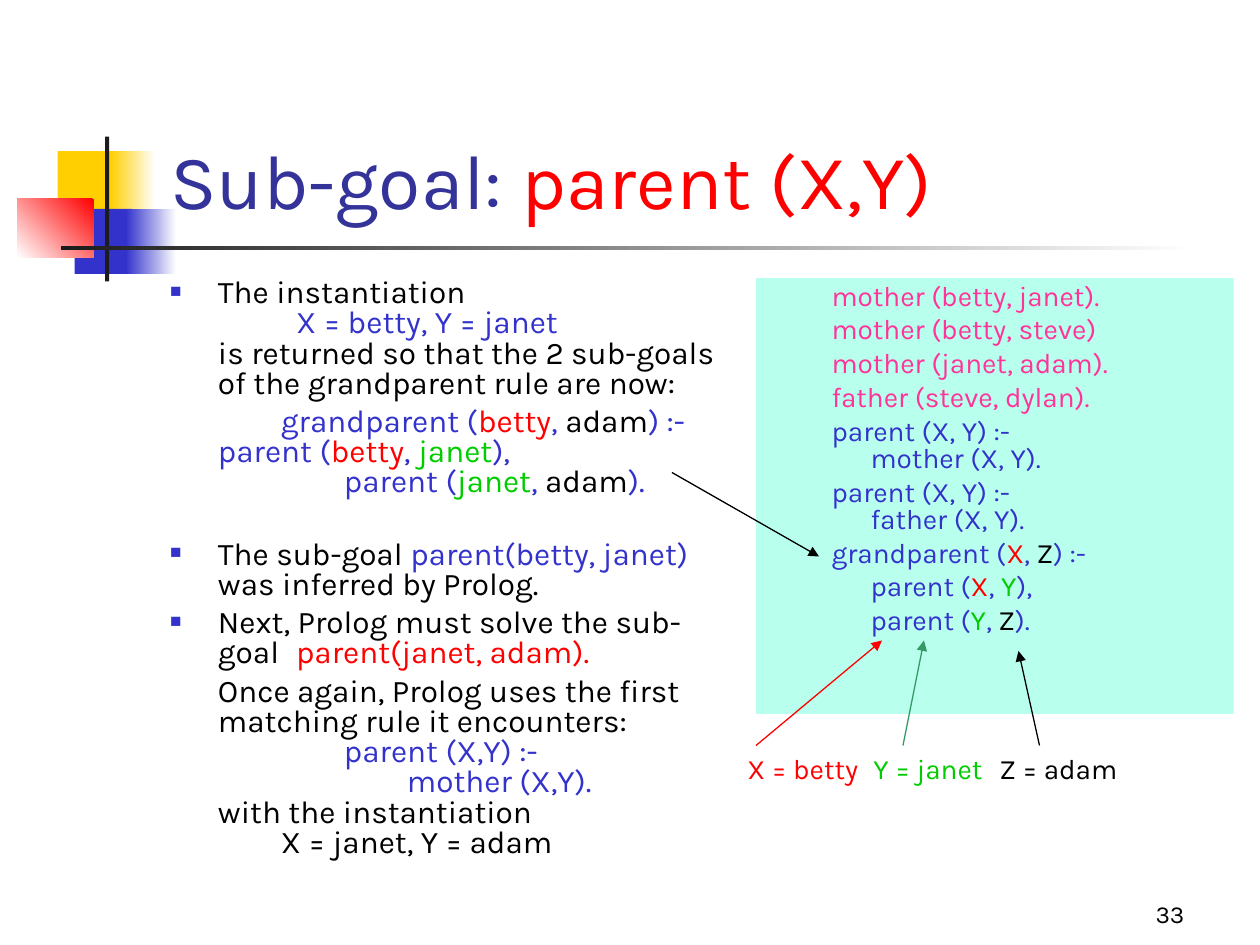
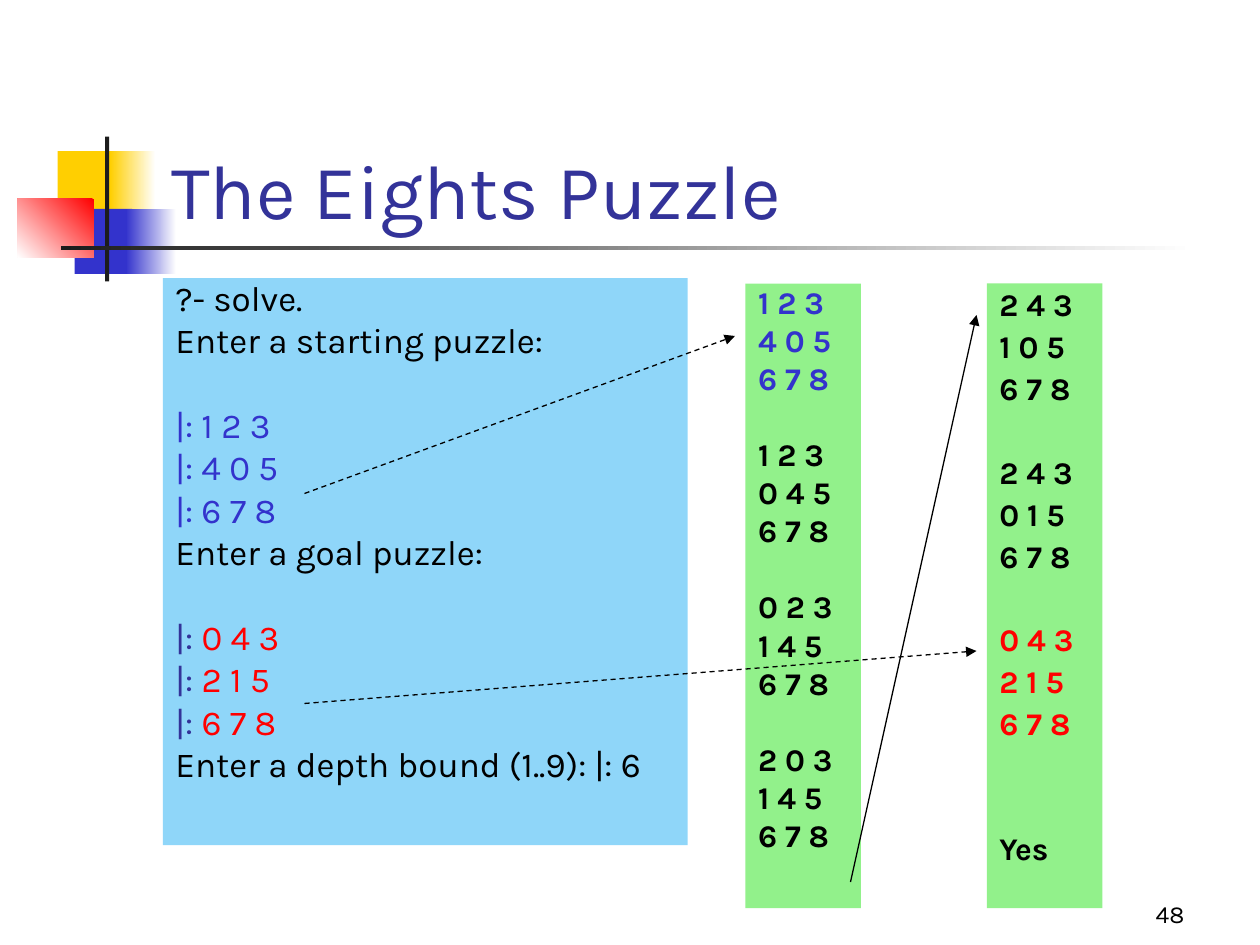
import dataclasses
import typing

import lxml.etree
import pptx
import pptx.dml.color
import pptx.enum.dml
import pptx.enum.shapes
import pptx.enum.text
import pptx.oxml.ns
import pptx.util

COLOURS = {
    "white": "FFFFFF", "black": "000000", "ink": "1C1C1C", "gold": "FFCF01",
    "blue": "3333CC", "navy": "333399", "red": "FF0000", "green": "00CC00",
    "pink": "FF3399", "fern": "339966", "mint": "B9FFED", "lime": "92F18B",
    "sky": "8FD6F9",
}
FONT = "Karla"
UNITS_PER_INCH = 12
FRAME_FORMAT = {"word_wrap": True, "auto_size": pptx.enum.text.MSO_AUTO_SIZE.NONE}
LEFT = pptx.enum.text.PP_ALIGN.LEFT
RIGHT = pptx.enum.text.PP_ALIGN.RIGHT
TOP = pptx.enum.text.MSO_ANCHOR.TOP
BOTTOM = pptx.enum.text.MSO_ANCHOR.BOTTOM
RECTANGLE = pptx.enum.shapes.MSO_SHAPE.RECTANGLE


class Area(typing.NamedTuple):
    col: float
    row: float
    cols: float
    rows: float


class Span(typing.NamedTuple):
    text: str
    colour: str = "black"


class Accent(typing.NamedTuple):
    area: Area
    colours: tuple[str, ...]
    angle: int = 180


class Arrow(typing.NamedTuple):
    start: tuple[float, float]
    end: tuple[float, float]
    colour: str = "black"
    dashed: bool = False


@dataclasses.dataclass
class Line:
    spans: list[Span]
    bullet: bool = False
    tabs: tuple[float, ...] = (0,)
    gap: float | None = None


@dataclasses.dataclass
class Style:
    size: float
    bold: bool = False
    level: int = 0
    margin: float = 0
    hanging: float = 0
    spacing: float = 1.0
    align: pptx.enum.text.PP_ALIGN = LEFT
    anchor: pptx.enum.text.MSO_ANCHOR = TOP


TITLE = Style(44, anchor=BOTTOM)
NUMBER = Style(14, align=RIGHT, anchor=BOTTOM)
BINDINGS = Style(16)
EXPLANATION = Style(18, margin=0.38, hanging=0.38, spacing=0.8)
RULES = Style(16, level=1, margin=0.81, hanging=0.31, spacing=0.8)
CONSOLE = dataclasses.replace(EXPLANATION, size=20)
MOVES = dataclasses.replace(EXPLANATION, bold=True)
LAST_MOVES = dataclasses.replace(MOVES, spacing=0.9)

ACCENTS = [
    Accent(Area(5.5, 14.4, 5.8, 6.2), ("gold",)),
    Accent(Area(10.5, 14.4, 4.3, 6.2), ("white", "gold")),
    Accent(Area(7.1, 19.9, 5.5, 6.2), ("blue",)),
    Accent(Area(12, 19.9, 4.8, 6.2), ("white", "blue")),
    Accent(Area(1.65, 18.95, 7.3, 5.55), ("red", "white"), 225),
    Accent(Area(10, 13, 0.4, 13.8), ("ink",)),
    Accent(Area(5.8, 23.4, 108, 0.4), ("white", "ink")),
]
NUMBER_AREA = Area(89, 83, 25, 6)
BULLET_TABS = tuple(range(1, 9))


def units(count: float) -> int:
    return pptx.util.Inches(count / UNITS_PER_INCH)


def rgb(colour: str) -> pptx.dml.color.RGBColor:
    return pptx.dml.color.RGBColor.from_string(COLOURS[colour])


def add_node(parent, tag: str, **attributes: str):
    return lxml.etree.SubElement(parent, pptx.oxml.ns.qn(tag), **attributes)


def place(shape, area: Area) -> None:
    for side, count in zip(("left", "top", "width", "height"), area):
        setattr(shape, side, units(count))


def add_rectangle(slide, area: Area):
    rectangle = slide.shapes.add_shape(RECTANGLE, *map(units, area))
    rectangle.shadow.inherit = False
    rectangle.line.fill.background()
    return rectangle


def add_text_area(slide, area: Area):
    return slide.shapes.add_textbox(*map(units, area))


def add_bullet_and_tabs(paragraph, line: Line) -> None:
    properties = paragraph._p.get_or_add_pPr()
    if line.bullet:
        colour = add_node(properties, "a:buClr")
        add_node(colour, "a:srgbClr", val=COLOURS["blue"])
        add_node(properties, "a:buSzPct", val="60000")
        add_node(properties, "a:buChar", char="■")
    else:
        add_node(properties, "a:buNone")
    stops = add_node(properties, "a:tabLst")
    for stop in line.tabs:
        add_node(stops, "a:tab", pos=str(pptx.util.Inches(stop)), algn="l")


def add_span(paragraph, span: Span, style: Style) -> None:
    font_format = {"name": FONT, "size": pptx.util.Pt(style.size), "bold": style.bold}
    for index, piece in enumerate(span.text.split("\n")):
        if index:
            paragraph.add_line_break()
            add_node(paragraph._p[-1], "a:rPr", sz=str(style.size * 100))
        if piece:
            run = paragraph.add_run()
            run.text = piece
            for name, value in font_format.items():
                setattr(run.font, name, value)
            run.font.color.rgb = rgb(span.colour)


def write(shape, lines: list[Line], style: Style, fill: str | None = None) -> None:
    if fill:
        shape.fill.solid()
        shape.fill.fore_color.rgb = rgb(fill)
    frame = shape.text_frame
    for name, value in (FRAME_FORMAT | {"vertical_anchor": style.anchor}).items():
        setattr(frame, name, value)
    for index, line in enumerate(lines):
        paragraph = frame.add_paragraph() if index else frame.paragraphs[0]
        add_bullet_and_tabs(paragraph, line)
        before = style.size / 4 if line.gap is None else line.gap
        paragraph_format = {
            "level": style.level,
            "alignment": style.align,
            "line_spacing": style.spacing,
            "space_before": pptx.util.Pt(before if index else 0),
        }
        for name, value in paragraph_format.items():
            setattr(paragraph, name, value)
        properties = paragraph._p.get_or_add_pPr()
        properties.set("marL", str(pptx.util.Inches(style.margin)))
        properties.set("indent", str(-pptx.util.Inches(style.hanging)))
        for span in line.spans:
            add_span(paragraph, span, style)


def add_arrow(slide, arrow: Arrow) -> None:
    ends = map(units, arrow.start + arrow.end)
    connector = slide.shapes.add_connector(
        pptx.enum.shapes.MSO_CONNECTOR.STRAIGHT, *ends)
    connector.line.color.rgb = rgb(arrow.colour)
    connector.line.width = pptx.util.Pt(0.75)
    if arrow.dashed:
        connector.line.dash_style = pptx.enum.dml.MSO_LINE.DASH
    properties = connector.element.spPr
    add_node(properties.find(pptx.oxml.ns.qn("a:ln")), "a:tailEnd", type="triangle")
    add_node(properties, "a:effectLst")


def decorate_layout(slide) -> None:
    for shape_id, accent in enumerate(ACCENTS, start=20):
        band = add_rectangle(slide, accent.area)
        if len(accent.colours) == 1:
            band.fill.solid()
            band.fill.fore_color.rgb = rgb(accent.colours[0])
        else:
            band.fill.gradient()
            band.fill.gradient_angle = accent.angle
            for stop, colour in zip(band.fill.gradient_stops, accent.colours):
                stop.color.rgb = rgb(colour)
        band.element.nvSpPr.cNvPr.id = shape_id
        slide.slide_layout.shapes.element.append(band.element)


def start_slide(deck, title: list[Span], title_area: Area, number: str):
    slide = deck.slides.add_slide(deck.slide_layouts[3])
    place(slide.shapes.title, title_area)
    write(slide.shapes.title, [Line(title)], TITLE)
    write(add_text_area(slide, NUMBER_AREA), [Line([Span(number)])], NUMBER)
    return slide


def fill_body(slide, index: int, area: Area, lines: list[Line], style: Style,
              fill: str | None = None) -> None:
    body = slide.placeholders[index]
    place(body, area)
    write(body, lines, style, fill)


def board(rows: str, colour: str = "black", gap: float | None = None,
          prompt: list[Span] | None = None) -> list[Line]:
    return [Line([*(prompt or []), Span(row, colour)], gap=None if index else gap)
            for index, row in enumerate(rows.split("/"))]


def build_sub_goal(deck) -> None:
    slide = start_slide(deck, [Span("Sub-goal: ", "navy"), Span("parent (X,Y)", "red")],
                        Area(15, 7, 102.2, 15), "33")
    decorate_layout(slide)
    comma = Span(", ", "blue")
    explanation = [
        Line([Span("The instantiation \n\t"), Span("X = betty, Y = janet\n", "blue"),
              Span("is returned so that the 2 sub-goals of the grandparent rule are now:")],
             True, BULLET_TABS),
        Line([Span("\t\tgrandparent (", "blue"), Span("betty", "red"), comma, Span("adam"),
              Span(") :-\t\tparent (", "blue"), Span("betty", "red"), comma,
              Span("janet", "green"), Span("),\n\t\tparent (", "blue"),
              Span("janet", "green"), comma, Span("adam"), Span(").", "blue")],
             tabs=(0, 1, 1.18)),
        Line([Span("The sub-goal "), Span("parent(betty, janet)", "blue"),
              Span(" was inferred by Prolog.")], True, BULLET_TABS, gap=24),
        Line([Span("Next, Prolog must solve the sub-goal\t"),
              Span("parent(janet, adam).", "red")], True, BULLET_TABS),
        Line([Span("\tOnce again, Prolog uses the first matching rule it encounters:\n"),
              Span("\t\tparent (X,Y) :- \n\t\t\tmother (X,Y).\n", "blue"),
              Span("with the instantiation \n\tX = janet, Y = adam")],
             tabs=(0, 1, 1.06, 1.24)),
    ]
    fill_body(slide, 1, Area(15, 26, 55.4, 61), explanation, EXPLANATION)

    facts = ["mother (betty, janet).", "mother (betty, steve)",
             "mother (janet, adam).", "father (steve, dylan)."]
    rules = [Line([Span(fact, "pink")]) for fact in facts]
    rules += [Line([Span(f"parent (X, Y) :- \n{relation} (X, Y).", "blue")])
              for relation in ("mother", "father")]
    x, y, z = Span("X", "red"), Span("Y", "green"), Span("Z")
    for opening, first, second, closing in [
        ("grandparent (", x, z, ") :-"),
        ("\tparent (", x, y, "),"),
        ("\tparent (", y, z, ")."),
    ]:
        rules.append(Line([Span(opening, "blue"), first, comma, second,
                           Span(closing, "blue")]))
    fill_body(slide, 2, Area(72, 26.5, 45.5, 41.5), rules, RULES, "mint")

    bindings = Line([Span("X = betty\t", "red"), Span("Y = janet\t", "green"),
                     Span("Z = adam")], tabs=(1.03, 2.01))
    write(add_text_area(slide, Area(70, 71, 46, 4.4)), [bindings], BINDINGS)
    for arrow in [
        Arrow((64, 45), (78, 53)),
        Arrow((72, 71), (84, 61), "red"),
        Arrow((86, 71), (88, 61), "fern"),
        Arrow((99, 71), (97, 62)),
    ]:
        add_arrow(slide, arrow)


def build_eights_puzzle(deck) -> None:
    slide = start_slide(deck, [Span("The Eights Puzzle", "navy")],
                        Area(15.1, 8, 102.2, 15), "48")
    moves = board("1 2 3/4 0 5/6 7 8", "blue")
    for rows in ("1 2 3/0 4 5/6 7 8", "0 2 3/1 4 5/6 7 8", "2 0 3/1 4 5/6 7 8"):
        moves += board(rows, gap=26.25)
    fill_body(slide, 1, Area(71, 27, 11, 59.5), moves, MOVES, "lime")

    console = [
        *board("?- solve./Enter a starting puzzle:"),
        *board("1 2 3/4 0 5/6 7 8", "blue", 29.25, [Span("|: ", "blue")]),
        *board("Enter a goal puzzle:"),
        *board("0 4 3/2 1 5/6 7 8", "red", 29.25, [Span("|: ", "navy")]),
        *board("Enter a depth bound (1..9): |: 6"),
    ]
    fill_body(slide, 2, Area(15.5, 26.5, 50, 54), console, CONSOLE, "sky")

    last_moves = [
        *board("2 4 3/1 0 5/6 7 8"),
        *board("2 4 3/0 1 5/6 7 8", gap=28.25),
        *board("0 4 3/2 1 5/6 7 8", "red", 28.25),
        *board("Yes", gap=52),
    ]
    write(add_rectangle(slide, Area(94, 27, 11, 59.5)), last_moves, LAST_MOVES, "lime")
    for arrow in [
        Arrow((81, 84), (93, 30)),
        Arrow((29, 47), (70, 32), dashed=True),
        Arrow((29, 67), (93, 62), dashed=True),
    ]:
        add_arrow(slide, arrow)


def main() -> None:
    deck = pptx.Presentation()
    deck.slide_width = units(120)
    deck.slide_height = units(90)
    build_sub_goal(deck)
    build_eights_puzzle(deck)
    deck.save("out.pptx")


if __name__ == "__main__":
    main()
